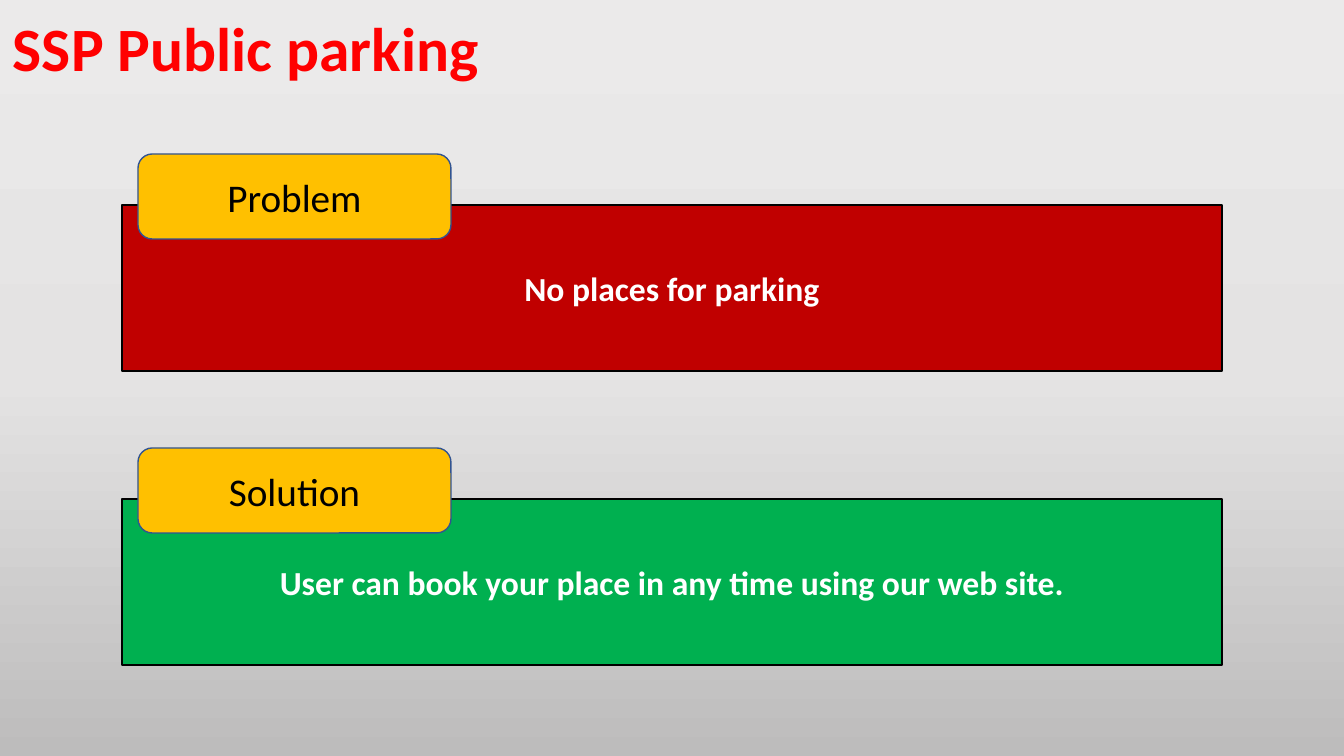
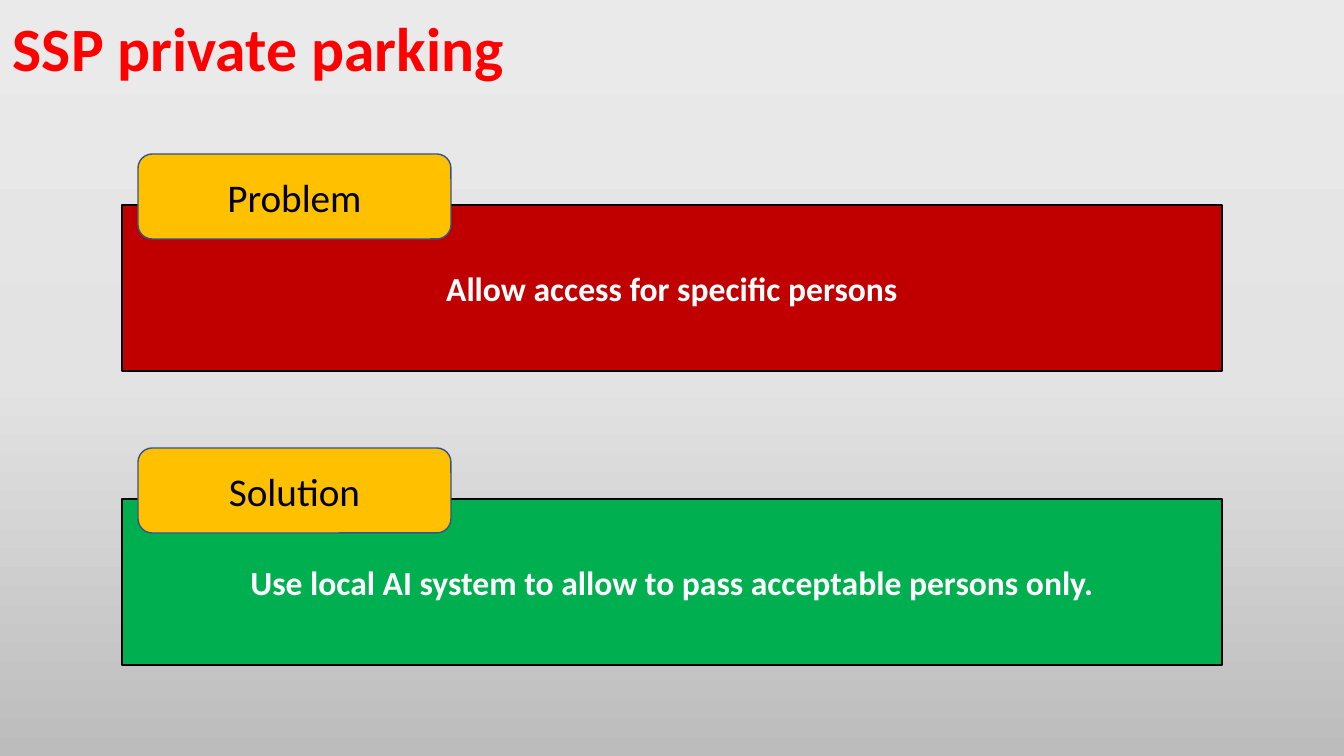
from copy import deepcopy

from pptx import Presentation
from pptx import util as u
from pptx.dml import color
from pptx.enum import shapes, text
from pptx.oxml import ns

PX = 914400 / 100.8
SLIDE_SIZE = 1344, 756
FONT = "Calibri"
BACKGROUND_STOPS = [(0, "EBEAEA"), (0.5, "E4E3E3"), (1, "BDBCBC")]

TITLE_STYLE = {"size": 44, "bold": True, "color": "FF0000"}
MESSAGE_STYLE = {"size": 24, "bold": True, "color": "FFFFFF"}
TAG_STYLE = {"size": 28, "bold": False, "color": "000000"}

PANEL_SIZE = 1100, 217
PANEL_LEFT, PANEL_TOP, PANEL_PITCH = 122, 154, 294
PANELS = [("Problem", "C00000"), ("Solution", "00B050")]

SLIDES = [
    ("SSP Public parking", 491,
     ["No places for parking",
      "User can book your place in any time using our web site."]),
    ("SSP private parking", 516,
     ["Allow access for specific persons",
      "Use local AI system to allow to pass acceptable persons only."]),
]


def px(*lengths):
    return [u.Emu(round(length * PX)) for length in lengths]


def rgb(hex_string):
    return color.RGBColor.from_string(hex_string)


def write(shape, words, style):
    paragraph = shape.text_frame.paragraphs[0]
    run = paragraph.add_run()
    run.text = words
    font_values = {"name": FONT, "size": u.Pt(style["size"]), "bold": style["bold"]}
    for name, value in font_values.items():
        setattr(run.font, name, value)
    run.font.color.rgb = rgb(style["color"])
    return paragraph


def paint_background(master):
    """Give every slide the same vertical three-colour gradient."""
    fill = master.background.fill
    fill.gradient()
    fill.gradient_angle = 270
    stop_list = next(master.element.iter(ns.qn("a:gsLst")))
    stop_list.insert(1, deepcopy(stop_list[0]))
    for stop, (position, hex_string) in zip(fill.gradient_stops, BACKGROUND_STOPS):
        stop.position = position
        stop.color.rgb = rgb(hex_string)


def add_title(slide, words, width):
    box = slide.shapes.add_textbox(*px(3, 5, width, 85))
    box.text_frame.word_wrap = False
    box.text_frame.auto_size = text.MSO_AUTO_SIZE.SHAPE_TO_FIT_TEXT
    write(box, words, TITLE_STYLE)


def add_block(slide, preset, box, fill, line, words, style):
    """Add a filled, outlined shape with centred text."""
    shape = slide.shapes.add_shape(preset, *px(*box))
    shape.shadow.inherit = False
    shape.fill.solid()
    shape.fill.fore_color.rgb = rgb(fill)
    shape.line.color.rgb = rgb(line)
    shape.line.width = u.Pt(1)
    shape.text_frame.word_wrap = True
    shape.text_frame.vertical_anchor = text.MSO_ANCHOR.MIDDLE
    write(shape, words, style).alignment = text.PP_ALIGN.CENTER


def add_panel(slide, left, top, width, height, tag, message, fill):
    """Add a message band with a tag overlapping its upper left edge."""
    tag_rise = 51
    band_box = left, top + tag_rise, width, height - tag_rise
    tag_box = left + 16, top, 313, 85
    add_block(slide, shapes.MSO_SHAPE.RECTANGLE, band_box,
              fill, "000000", message, MESSAGE_STYLE)
    add_block(slide, shapes.MSO_SHAPE.ROUNDED_RECTANGLE, tag_box,
              "FFC000", "325491", tag, TAG_STYLE)


def add_parking_slide(presentation, title, title_width, messages):
    slide = presentation.slides.add_slide(presentation.slide_layouts[6])
    add_title(slide, title, title_width)
    for row, ((tag, fill), message) in enumerate(zip(PANELS, messages)):
        add_panel(slide, PANEL_LEFT, PANEL_TOP + row * PANEL_PITCH, *PANEL_SIZE,
                  tag, message, fill)


def main():
    presentation = Presentation()
    presentation.slide_width, presentation.slide_height = px(*SLIDE_SIZE)
    paint_background(presentation.slide_master)
    for content in SLIDES:
        add_parking_slide(presentation, *content)
    presentation.save("out.pptx")


if __name__ == "__main__":
    main()
